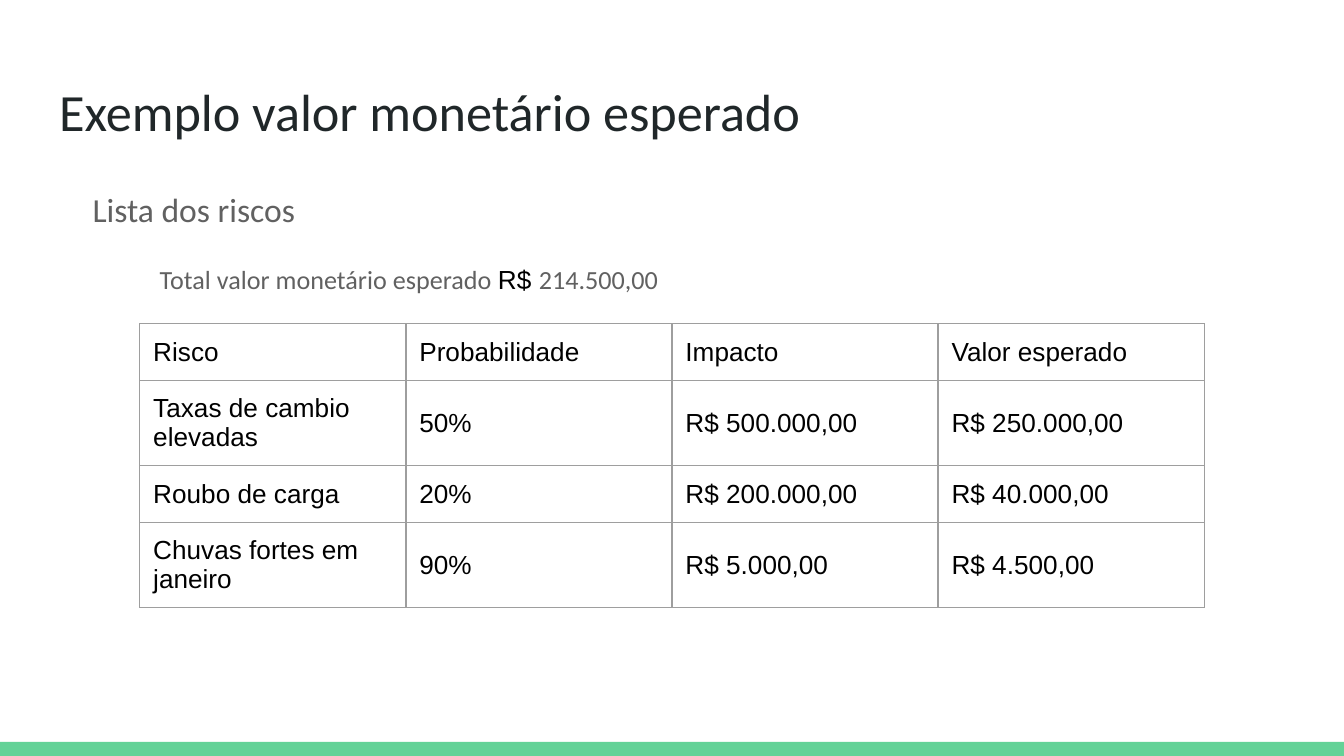
from lxml.etree import SubElement
from pptx import Presentation
from pptx.dml.color import RGBColor
from pptx.enum.shapes import MSO_SHAPE
from pptx.enum.text import MSO_ANCHOR, MSO_AUTO_SIZE, PP_ALIGN
from pptx.oxml.ns import qn
from pptx.util import Inches, Pt

TITLE = "Exemplo valor monetário esperado"
GRAY = "616161"
BLACK = "000000"
BORDER = "9E9E9E"

# Each paragraph: left indent in inches, size, runs of (text, font, colour)
BODY = [
    (0.5, 18, [("Lista dos riscos", "Calibri", GRAY)]),
    (1, 14, [
        ("Total valor monetário esperado ", "Calibri", GRAY),
        ("R$ ", "Arial", BLACK),
        ("214.500,00", "Calibri", GRAY),
    ]),
]
RISKS = [
    ("Risco", "Probabilidade", "Impacto", "Valor esperado"),
    ("Taxas de cambio elevadas", "50%", "R$ 500.000,00", "R$ 250.000,00"),
    ("Roubo de carga", "20%", "R$ 200.000,00", "R$ 40.000,00"),
    ("Chuvas fortes em janeiro", "90%", "R$ 5.000,00", "R$ 4.500,00"),
]
ROW_HEIGHT = 0.41  # rows grow to fit their text
COLUMN_WIDTH = 1.98


def rgb(value):
    return RGBColor.from_string(value)


def add_text(paragraph, text, size=14, font="Arial", color=BLACK):
    run = paragraph.add_run()
    run.text = text
    run.font.size = Pt(size)
    run.font.name = font
    run.font.color.rgb = rgb(color)


def set_frame(frame):
    frame.word_wrap = True
    frame.auto_size = MSO_AUTO_SIZE.NONE
    frame.vertical_anchor = MSO_ANCHOR.TOP
    for side in ("left", "top", "right", "bottom"):
        setattr(frame, f"margin_{side}", Inches(0.1))


def set_borders(cell):
    properties = cell.fill._xPr
    for position, side in enumerate(("lnL", "lnR", "lnT", "lnB")):
        line = SubElement(properties, qn(f"a:{side}"), w=str(Pt(0.75)))
        fill = SubElement(line, qn("a:solidFill"))
        SubElement(fill, qn("a:srgbClr"), val=BORDER)
        properties.insert(position, line)


presentation = Presentation()
presentation.slide_width = Inches(10)
presentation.slide_height = presentation.slide_width * 9 // 16
slide = presentation.slides.add_slide(presentation.slide_layouts[5])

footer_top = Inches(5.52)
footer = slide.shapes.add_shape(
    MSO_SHAPE.RECTANGLE, 0, footer_top,
    presentation.slide_width, presentation.slide_height - footer_top)
footer.shadow.inherit = False
footer.fill.solid()
footer.fill.fore_color.rgb = rgb("63D297")
footer.line.fill.background()

title = slide.shapes.title
title.left, title.top = Inches(0.34), Inches(0.49)
title.width, title.height = Inches(9.32), Inches(0.63)
set_frame(title.text_frame)
title_paragraph = title.text_frame.paragraphs[0]
title_paragraph.alignment = PP_ALIGN.LEFT
add_text(title_paragraph, TITLE, size=28, font="Calibri", color="202729")

body = slide.shapes.add_textbox(
    Inches(0.34), Inches(1.26), Inches(9.32), Inches(3.74)).text_frame
set_frame(body)
for index, (indent, size, runs) in enumerate(BODY):
    paragraph = body.add_paragraph() if index else body.paragraphs[0]
    paragraph.level = index
    paragraph.line_spacing = 1.15
    paragraph.space_after = Pt(16)
    properties = paragraph._p.get_or_add_pPr()
    properties.set("marL", str(Inches(indent)))
    properties.set("indent", str(Inches(-0.25)))
    for text, font, color in runs:
        add_text(paragraph, text, size=size, font=font, color=color)

table = slide.shapes.add_table(
    len(RISKS), len(RISKS[0]), Inches(1.04), Inches(2.41),
    Inches(COLUMN_WIDTH * len(RISKS[0])),
    Inches(ROW_HEIGHT * len(RISKS))).table
table.first_row = False
table.horz_banding = False
for column in table.columns:
    column.width = Inches(COLUMN_WIDTH)
for row_index, values in enumerate(RISKS):
    for column_index, value in enumerate(values):
        cell = table.cell(row_index, column_index)
        cell.margin_left = cell.margin_right = Inches(0.1)
        cell.margin_top = cell.margin_bottom = Inches(0.1)
        if row_index and column_index:
            cell.vertical_anchor = MSO_ANCHOR.MIDDLE
        cell.fill.background()
        set_borders(cell)
        add_text(cell.text_frame.paragraphs[0], value)

presentation.save("out.pptx")
